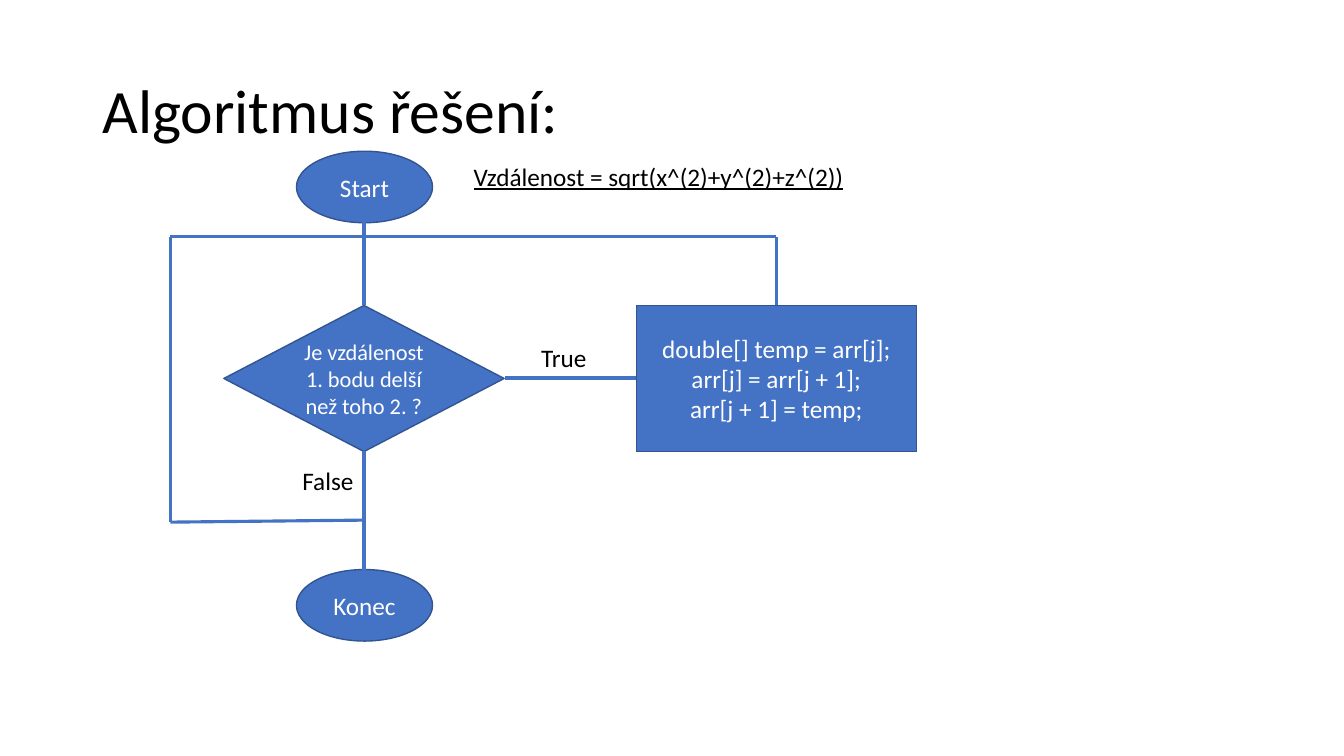
from dataclasses import dataclass

from lxml.etree import SubElement
from pptx import Presentation
from pptx.dml.color import RGBColor
from pptx.enum.shapes import MSO_CONNECTOR, MSO_SHAPE
from pptx.enum.text import MSO_ANCHOR, PP_ALIGN
from pptx.oxml.ns import qn
from pptx.util import Inches, Pt

BLACK = RGBColor(0x00, 0x00, 0x00)
WHITE = RGBColor(0xFF, 0xFF, 0xFF)
BLUE = RGBColor(0x44, 0x72, 0xC4)
DARK_BLUE = RGBColor(0x32, 0x54, 0x91)

AXIS, LOOP_LEFT, SWAP_AXIS = 3.61, 1.69, 7.7
MERGE_Y, TEST_TOP, TEST_Y, TEST_BOTTOM = 2.35, 3.03, 3.75, 4.47
END_TOP = 5.65
TERMINAL_SIZE = (1.35, 0.71)
STEP_SIZE = (2.78, 1.45)


@dataclass
class Node:
    kind: MSO_SHAPE
    left: float
    top: float
    extent: tuple[float, float]
    text: str
    size: int = 18


@dataclass
class Label:
    left: float
    top: float
    width: float
    height: float
    text: str
    size: int = 18
    underline: bool = False
    wrap: bool = False
    anchor: MSO_ANCHOR = MSO_ANCHOR.TOP
    spacing: float = 1.0


NODES = [
    Node(MSO_SHAPE.OVAL, 2.94, 1.5, TERMINAL_SIZE, "Start"),
    Node(MSO_SHAPE.DIAMOND, 2.22, TEST_TOP, STEP_SIZE,
         "Je vzdálenost 1. bodu delší než toho 2. ?", 16),
    Node(MSO_SHAPE.RECTANGLE, 6.31, TEST_TOP, STEP_SIZE,
         "double[] temp = arr[j];\narr[j] = arr[j + 1];\narr[j + 1] = temp;"),
    Node(MSO_SHAPE.OVAL, 2.94, END_TOP, TERMINAL_SIZE, "Konec"),
]
LABELS = [
    Label(0.92, 0.4, 11.5, 1.45, "Algoritmus řešení:", 44, wrap=True,
          anchor=MSO_ANCHOR.MIDDLE, spacing=0.9),
    Label(4.6, 1.55, 3.91, 0.4, "Vzdálenost = sqrt(x^(2)+y^(2)+z^(2))", underline=True),
    Label(5.27, 3.35, 0.66, 0.4, "True"),
    Label(2.9, 4.57, 0.71, 0.4, "False"),
]
ROUTES = [
    [(AXIS, 2.2), (AXIS, TEST_TOP)],
    [(SWAP_AXIS, TEST_TOP), (SWAP_AXIS, MERGE_Y), (AXIS, MERGE_Y),
     (LOOP_LEFT, MERGE_Y), (LOOP_LEFT, 5.18), (AXIS, 5.16)],
    [(5.01, TEST_Y), (6.31, TEST_Y)],
    [(AXIS, TEST_BOTTOM), (AXIS, END_TOP)],
]


def write(frame, text: str, *, size: int, color: RGBColor, align=PP_ALIGN.LEFT,
          anchor=MSO_ANCHOR.TOP, wrap=True, underline=False, spacing=1.0) -> None:
    frame.word_wrap = wrap
    frame.vertical_anchor = anchor
    for index, line in enumerate(text.split("\n")):
        para = frame.add_paragraph() if index else frame.paragraphs[0]
        para.alignment = align
        para.line_spacing = spacing
        span = para.add_run()
        span.text = line
        span.font.name = "Calibri"
        span.font.size = Pt(size)
        span.font.color.rgb = color
        span.font.underline = underline


def draw_node(page, node: Node) -> None:
    box = page.shapes.add_shape(node.kind, Inches(node.left), Inches(node.top),
                                *map(Inches, node.extent))
    box.shadow.inherit = False
    box.fill.solid()
    box.fill.fore_color.rgb = BLUE
    box.line.color.rgb = DARK_BLUE
    box.line.width = Pt(1)
    write(box.text_frame, node.text, size=node.size, color=WHITE,
          align=PP_ALIGN.CENTER, anchor=MSO_ANCHOR.MIDDLE)


def draw_label(page, label: Label) -> None:
    box = page.shapes.add_textbox(Inches(label.left), Inches(label.top),
                                  Inches(label.width), Inches(label.height))
    write(box.text_frame, label.text, size=label.size, color=BLACK, wrap=label.wrap,
          anchor=label.anchor, underline=label.underline, spacing=label.spacing)


def draw_route(page, points: list[tuple[float, float]]) -> None:
    for start, end in zip(points, points[1:]):
        line = page.shapes.add_connector(MSO_CONNECTOR.STRAIGHT,
                                         *map(Inches, start + end))
        line.line.color.rgb = BLUE
        line.line.width = Pt(2.25)
        SubElement(line._element.spPr, qn("a:effectLst"))


deck = Presentation()
deck.slide_width, deck.slide_height = Inches(13.33), Inches(7.5)
page = deck.slides.add_slide(deck.slide_layouts[6])
for label in LABELS:
    draw_label(page, label)
for node in NODES:
    draw_node(page, node)
for route in ROUTES:
    draw_route(page, route)
deck.save("out.pptx")
